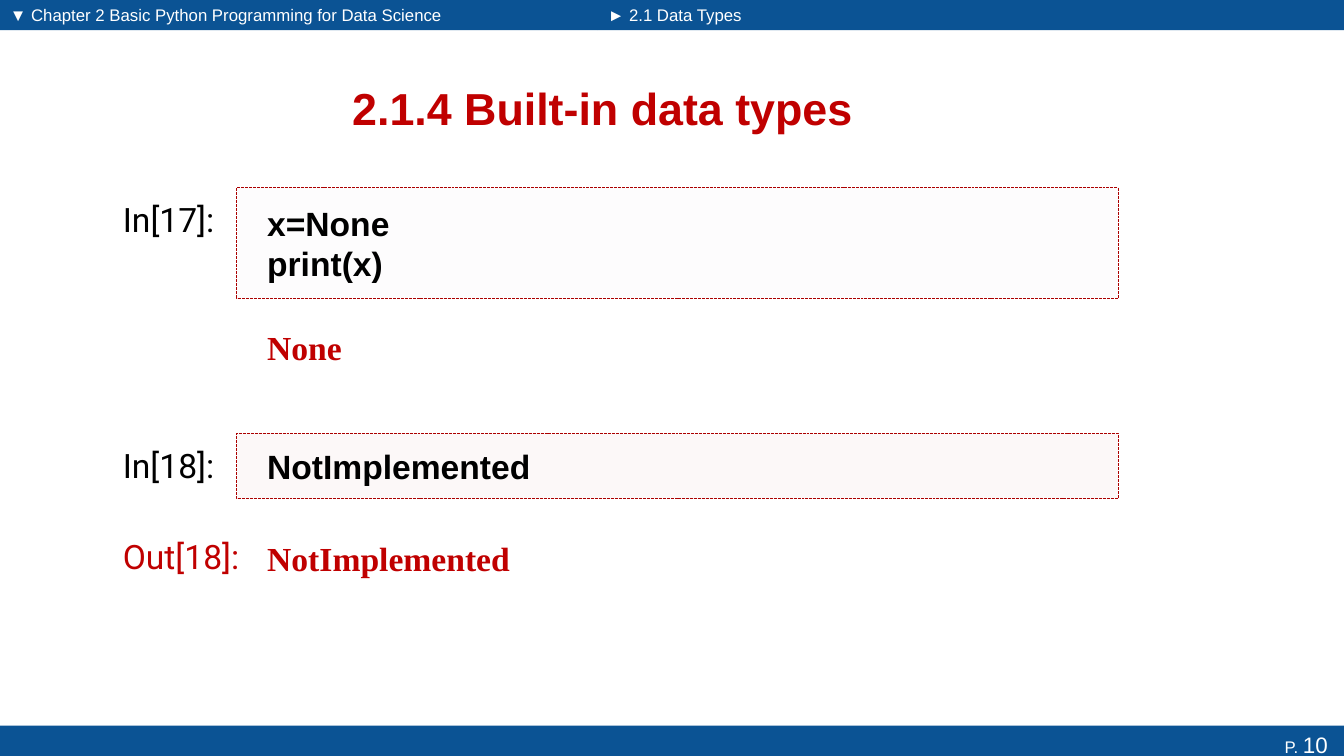
"""Build the slide on Python's None and NotImplemented built-in data types."""
from lxml.etree import SubElement
from pptx import Presentation
from pptx.dml.color import RGBColor
from pptx.enum.dml import MSO_LINE
from pptx.enum.shapes import MSO_SHAPE
from pptx.enum.text import MSO_ANCHOR, PP_ALIGN
from pptx.oxml.ns import qn
from pptx.util import Inches, Pt

COLORS = {
    "blue": "0B5394",
    "red": "C00000",
    "border": "AB0000",
    "lilac": "F1EEF4",
    "pink": "EDCDCB",
    "black": "000000",
    "white": "FFFFFF",
}
CELL_LEFT, CELL_WIDTH, LABEL_LEFT = 2.35, 8.74, 1.12

presentation = Presentation()
presentation.slide_width = Inches(13.33)
presentation.slide_height = Inches(7.5)
slide = presentation.slides.add_slide(presentation.slide_layouts[6])


def add_box(left, top, width, height, fill):
    """Add a plain filled rectangle without outline or shadow."""
    shape = slide.shapes.add_shape(
        MSO_SHAPE.RECTANGLE, Inches(left), Inches(top), Inches(width), Inches(height))
    shape.shadow.inherit = False
    shape.fill.solid()
    shape.fill.fore_color.rgb = RGBColor.from_string(COLORS[fill])
    shape.line.fill.background()
    return shape


def write(shape, lines, size, font, color, bold=False, align=PP_ALIGN.LEFT,
          anchor=MSO_ANCHOR.TOP, indent=0.1):
    """Fill a shape with one paragraph per line in a single style."""
    frame = shape.text_frame
    frame.word_wrap = True
    frame.vertical_anchor = anchor
    frame.margin_left = Inches(indent)
    frame.text = "\n".join(lines)
    for paragraph in frame.paragraphs:
        paragraph.alignment = align
        paragraph.font.size = Pt(size)
        paragraph.font.name = font
        paragraph.font.bold = bold
        paragraph.font.color.rgb = RGBColor.from_string(COLORS[color])


headers = [
    (0, 5.93, 4.83, "▼ Chapter 2 Basic Python Programming for Data Science"),
    (5.93, 7.4, 2.38, "► 2.1 Data Types"),
]
for left, bar_width, text_width, text in headers:
    add_box(left, 0, bar_width, 0.3, "blue")
    header = slide.shapes.add_textbox(Inches(left), 0, Inches(text_width), Inches(0.29))
    write(header, [text], 12, "Arial", "white")

footer = add_box(0, 7.2, 13.33, 0.37, "blue")
write(footer, ["P. "], 12, "Arial", "white", align=PP_ALIGN.RIGHT)
page_number = footer.text_frame.paragraphs[0].add_run()
page_number.text = "10 "
page_number.font.size = Pt(16)

title = slide.shapes.add_textbox(Inches(0.68), Inches(0.62), Inches(10.72), Inches(0.9))
write(title, ["2.1.4 Built-in data types "], 32, "Arial", "red", bold=True,
      align=PP_ALIGN.CENTER, anchor=MSO_ANCHOR.MIDDLE)

code_cells = [
    (1.86, 1.1, "lilac", ["x=None", "print(x)"]),
    (4.3, 0.65, "pink", ["NotImplemented"]),
]
for top, height, fill, lines in code_cells:
    cell = add_box(CELL_LEFT, top, CELL_WIDTH, height, fill)
    fill_color = cell.fill._xPr.find(qn("a:solidFill"))[0]
    SubElement(fill_color, qn("a:alpha"), val="13000")
    cell.line.color.rgb = RGBColor.from_string(COLORS["border"])
    cell.line.width = Pt(0.7)
    cell.line.dash_style = MSO_LINE.SQUARE_DOT
    write(cell, lines, 24, "Arial", "black", bold=True,
          anchor=MSO_ANCHOR.MIDDLE, indent=0.3)

for top, text in [(3.12, "None"), (5.21, "NotImplemented")]:
    output = slide.shapes.add_textbox(
        Inches(CELL_LEFT), Inches(top), Inches(CELL_WIDTH), Inches(0.65))
    write(output, [text], 24, "Times New Roman", "red", bold=True,
          anchor=MSO_ANCHOR.MIDDLE, indent=0.3)

labels = [
    (1.92, 1.15, "In[17]:", "black"),
    (4.36, 1.23, "In[18]:", "black"),
    (5.27, 1.39, "Out[18]:", "red"),
]
for top, width, text, color in labels:
    label = slide.shapes.add_textbox(
        Inches(LABEL_LEFT), Inches(top), Inches(width), Inches(0.5))
    write(label, [text], 24, "Roboto", color)

presentation.save("out.pptx")
